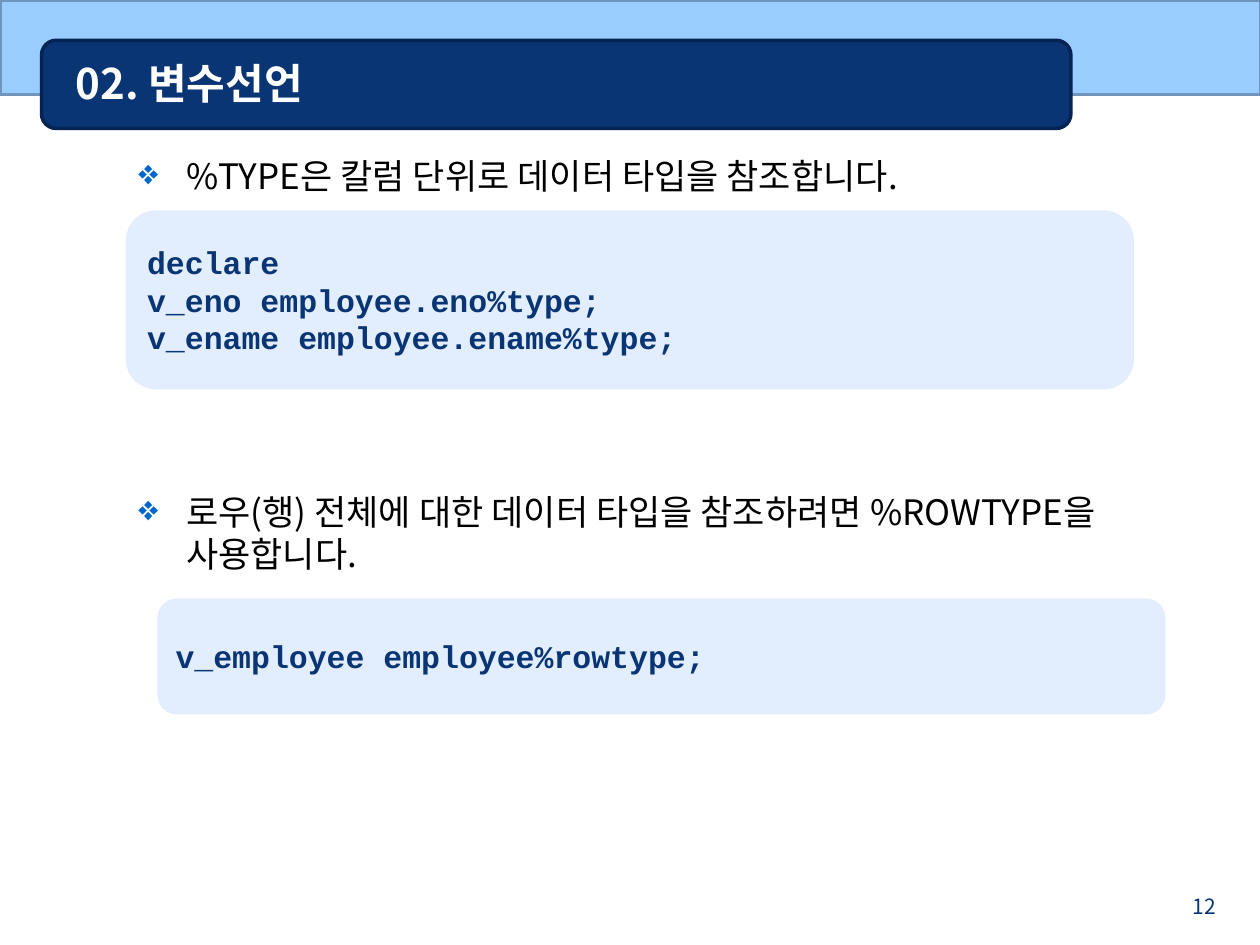
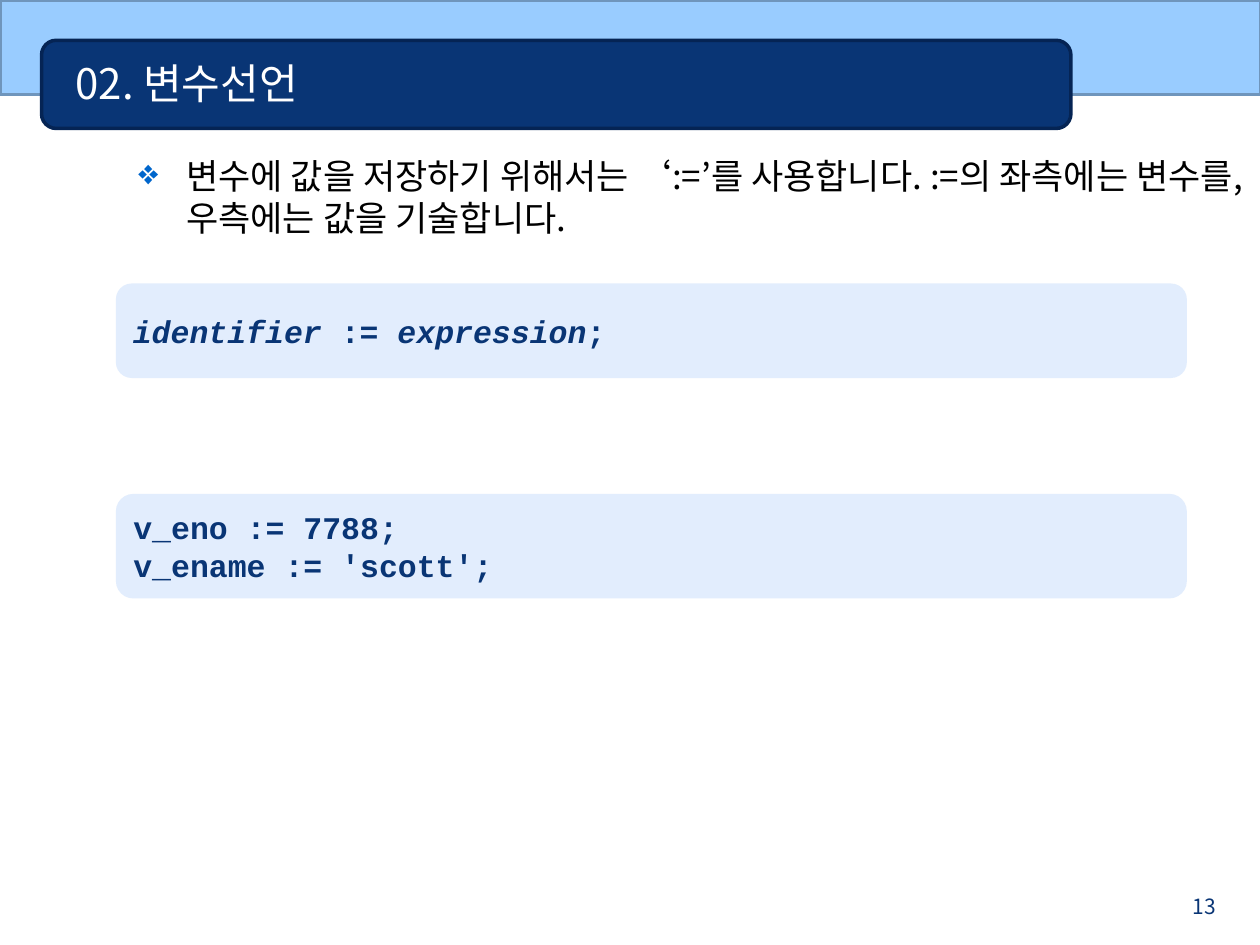
from lxml import etree
from pptx import Presentation
from pptx.dml.color import RGBColor
from pptx.enum import shapes, text
from pptx.oxml import ns
from pptx.util import Inches, Pt

SKY = RGBColor(0x99, 0xCC, 0xFF)
SKY_EDGE = RGBColor(0x6F, 0x95, 0xBC)
NAVY = RGBColor(0x09, 0x35, 0x75)
NAVY_EDGE = RGBColor(0x05, 0x24, 0x54)
CODE_FILL = RGBColor(0xB8, 0xD3, 0xFA)
WHITE = RGBColor(0xFF, 0xFF, 0xFF)
BLACK = RGBColor(0, 0, 0)
BULLET_COLOR = "0066CC"
KOREAN, MONO = "Noto Sans CJK KR", "Courier New"

TITLE = "02. 변수선언"
BANDS = [
    (shapes.MSO_SHAPE.RECTANGLE, (0, 0, 10.01, 0.75), SKY, SKY_EDGE),
    (shapes.MSO_SHAPE.ROUNDED_RECTANGLE, (0.33, 0.32, 8.17, 0.7), NAVY, NAVY_EDGE),
]

# Bullets are (space before in points, text); code lines are lists of (text, italic).
SLIDES = [
    {
        "number": 12,
        "title_bold": True,
        "bullets": [
            (24, "%TYPE은 칼럼 단위로 데이터 타입을 참조합니다."),
            (168, "로우(행) 전체에 대한 데이터 타입을 참조하려면 %ROWTYPE을 사용합니다."),
        ],
        "code": [
            ((1, 1.67, 8, 1.42), [
                [("declare", False)],
                [("v_eno employee.eno%type;", False)],
                [("v_ename employee.ename%type;", False)],
            ]),
            ((1.25, 4.75, 8, 0.92), [[("v_employee employee%rowtype;", False)]]),
        ],
    },
    {
        "number": 13,
        "title_bold": False,
        "bullets": [
            (24, "변수에 값을 저장하기 위해서는 ‘:=’를 사용합니다. "
                 ":=의 좌측에는 변수를, 우측에는 값을 기술합니다."),
        ],
        "code": [
            ((0.92, 2.25, 8.5, 0.75), [
                [("identifier", True), (" := ", False), ("expression", True), (";", False)],
            ]),
            ((0.92, 3.92, 8.5, 0.83), [
                [("v_eno := 7788;", False)],
                [("v_ename := 'scott';", False)],
            ]),
        ],
    },
]


def add_run(p, words, face, color, **formats):
    """Add a run whose Latin and East Asian text share one typeface."""
    r = p.add_run()
    r.text = words
    r.font.color.rgb = color
    for name, value in {"name": face, **formats}.items():
        setattr(r.font, name, value)
    ea = etree.SubElement(r.font._element, ns.qn("a:ea"))
    ea.set("typeface", face)


def add_block(s, preset, box, fill):
    """Add a filled shape without shadow or outline."""
    sp = s.shapes.add_shape(preset, *map(Inches, box))
    sp.shadow.inherit = False
    sp.fill.solid()
    sp.fill.fore_color.rgb = fill
    sp.line.fill.background()
    return sp


prs = Presentation()
prs.slide_width, prs.slide_height = Inches(10), Inches(7.5)

for content in SLIDES:
    s = prs.slides.add_slide(prs.slide_layouts[5])

    for preset, box, fill, edge in BANDS:
        band = add_block(s, preset, box, fill)
        band.line.color.rgb = edge
        band.line.width = Pt(2)

    # Title, raised above the bands
    title = s.shapes.title
    s.shapes._spTree.append(title._element)
    title.left, title.top, title.width, title.height = map(Inches, (0.5, 0.35, 7.92, 0.62))
    tf = title.text_frame
    tf.auto_size = text.MSO_AUTO_SIZE.NONE
    tf.vertical_anchor = text.MSO_ANCHOR.MIDDLE
    p = tf.paragraphs[0]
    p.alignment = text.PP_ALIGN.LEFT
    add_run(p, TITLE, KOREAN, WHITE, size=Pt(24), bold=content["title_bold"])

    # Slide number
    tf = s.shapes.add_textbox(*map(Inches, (9.25, 7.04, 0.5, 0.21))).text_frame
    tf.word_wrap = True
    p = tf.paragraphs[0]
    p.alignment = text.PP_ALIGN.RIGHT
    add_run(p, str(content["number"]), KOREAN, NAVY, size=Pt(12))

    # Bulleted explanation
    tf = s.shapes.add_textbox(*map(Inches, (1, 1.18, 9, 6.14))).text_frame
    tf.word_wrap = True
    for i, (space, words) in enumerate(content["bullets"]):
        p = tf.add_paragraph() if i else tf.paragraphs[0]
        p.space_before = Pt(space)
        p.line_spacing = Pt(24)
        pPr = p._p.get_or_add_pPr()
        pPr.set("marL", str(Inches(0.38)))
        pPr.set("indent", str(-Inches(0.38)))
        color = etree.SubElement(pPr, ns.qn("a:buClr"))
        etree.SubElement(color, ns.qn("a:srgbClr")).set("val", BULLET_COLOR)
        etree.SubElement(pPr, ns.qn("a:buChar")).set("char", "❖")
        add_run(p, words, KOREAN, BLACK, size=Pt(20))

    # Code panels
    for box, lines in content["code"]:
        panel = add_block(s, shapes.MSO_SHAPE.ROUNDED_RECTANGLE, box, CODE_FILL)
        fill_color = panel._element.spPr.find(".//" + ns.qn("a:srgbClr"))
        etree.SubElement(fill_color, ns.qn("a:alpha")).set("val", "40000")
        tf = panel.text_frame
        tf.word_wrap = True
        tf.vertical_anchor = text.MSO_ANCHOR.MIDDLE
        for i, line in enumerate(lines):
            p = tf.add_paragraph() if i else tf.paragraphs[0]
            p.alignment = text.PP_ALIGN.LEFT
            p.line_spacing = Pt(21.4)
            for words, italic in line:
                add_run(p, words, MONO, NAVY, size=Pt(18), bold=True, italic=italic)

prs.save("out.pptx")
